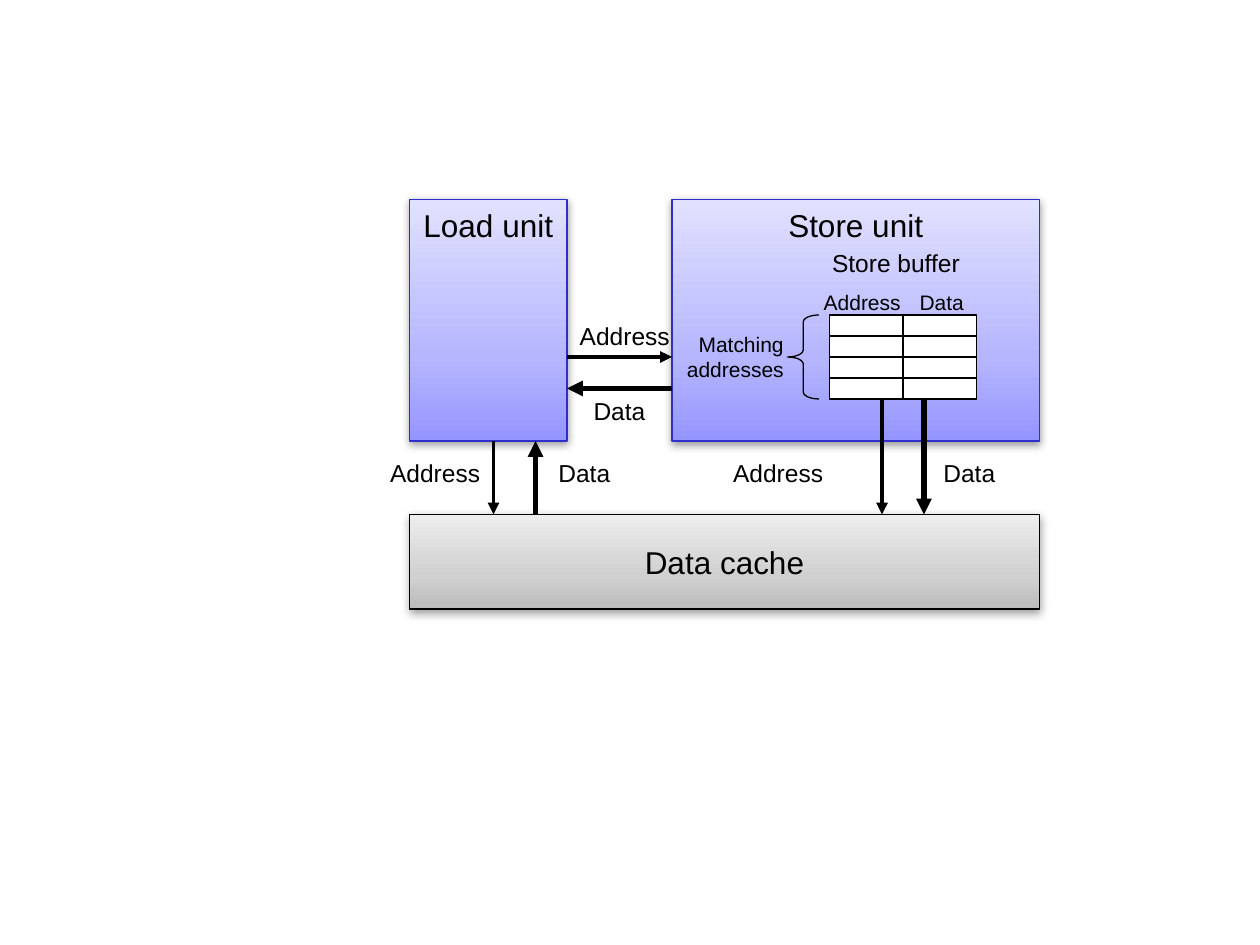
from copy import deepcopy
from lxml import etree
from pptx import Presentation
from pptx.dml.color import RGBColor
from pptx.enum import shapes, text
from pptx.oxml import ns
from pptx.util import Pt

BLACK = RGBColor(0, 0, 0)
WHITE = RGBColor(255, 255, 255)
EDGE = RGBColor(0x2E, 0x2E, 0xCB)
BLUES = (RGBColor(0x95, 0x95, 0xFF), RGBColor(0xB6, 0xB6, 0xFF), RGBColor(0xE1, 0xE1, 0xFF))
GRAYS = (RGBColor(0xBC, 0xBC, 0xBC), RGBColor(0xD0, 0xD0, 0xD0), RGBColor(0xED, 0xED, 0xED))
KIND = shapes.MSO_SHAPE
LEFT, MID, RIGHT = text.PP_ALIGN.LEFT, text.PP_ALIGN.CENTER, text.PP_ALIGN.RIGHT
TOP, CENTER = text.MSO_ANCHOR.TOP, text.MSO_ANCHOR.MIDDLE
THIN, THICK = 2.25, 3


def sub(parent, tag, **attrs):
    return etree.SubElement(parent, ns.qn(tag), attrs)


def write(frame, lines, size, align):
    frame.word_wrap = False
    for i, line in enumerate(lines):
        para = frame.add_paragraph() if i else frame.paragraphs[0]
        para.alignment = align
        run = para.add_run()
        run.text = line
        run.font.name = "Arial"
        run.font.size = Pt(size)
        run.font.color.rgb = BLACK


def label(slide, x, y, wide, high, lines, size=14, align=MID):
    box = slide.shapes.add_textbox(Pt(x), Pt(y), Pt(wide), Pt(high))
    write(box.text_frame, lines, size, align)
    box.text_frame.auto_size = text.MSO_AUTO_SIZE.SHAPE_TO_FIT_TEXT


def arrow(slide, x1, y1, x2, y2, width):
    line = slide.shapes.add_connector(
        shapes.MSO_CONNECTOR.STRAIGHT, Pt(x1), Pt(y1), Pt(x2), Pt(y2))
    line.line.color.rgb = BLACK
    line.line.width = Pt(width)
    sub(line.line._get_or_add_ln(), "a:tailEnd", type="triangle")
    sub(line._element.spPr, "a:effectLst")


def shape(slide, kind, x, y, wide, high, edge=BLACK):
    item = slide.shapes.add_shape(kind, Pt(x), Pt(y), Pt(wide), Pt(high))
    item.shadow.inherit = False
    item.line.color.rgb = edge
    item.line.width = Pt(0.75)
    return item


def block(slide, box, name, tones, edge, anchor):
    item = shape(slide, KIND.RECTANGLE, *box, edge)
    item.fill.gradient()
    item.fill.gradient_angle = 90
    props = item._element.spPr
    stops = props.find(".//" + ns.qn("a:gsLst"))
    stops.append(deepcopy(stops[-1]))
    for stop, tone, place in zip(item.fill.gradient_stops, tones, (0, 0.35, 1)):
        stop.color.rgb = tone
        stop.position = place
    glow = sub(props.find(ns.qn("a:effectLst")), "a:outerShdw",
               blurRad=str(Pt(5)), dist=str(Pt(1.6)), dir="5400000", rotWithShape="0")
    sub(sub(glow, "a:srgbClr", val="000000"), "a:alpha", val="38000")
    item.text_frame.vertical_anchor = anchor
    write(item.text_frame, [name], 18, MID)


def buffer(slide, x, y, wide, high):
    cols, rows = 2, 4
    w, h = wide / cols, high / rows
    for col in range(cols):
        for row in range(rows):
            cell = shape(slide, KIND.RECTANGLE, x + col * w, y + row * h, w, h)
            cell.fill.solid()
            cell.fill.fore_color.rgb = WHITE
    brace = shape(slide, KIND.LEFT_BRACE, x - 24, y, 18, high)
    brace.adjustments[0] = 0.222
    brace.fill.background()
    label(slide, x - 7, y - 42, 90, 24, ["Store buffer"])
    label(slide, x - 89, y + 6, 70, 36, ["Matching", "addresses"], 12, RIGHT)
    label(slide, x - 10.4, y - 18, 59, 22, ["Address"], 12, LEFT)
    label(slide, x + 44.4, y - 18, 41, 22, ["Data"], 12, LEFT)


def across(slide, x, y, wide, high):
    arrow(slide, x, y, x + wide, y, THIN)
    arrow(slide, x + wide, y + high, x, y + high, THICK)
    label(slide, x - 1, y - 24, 68, 24, ["Address"])
    label(slide, x + 7.5, y + high + 0.9, 45, 24, ["Data"])


def down(slide, x, y, wide, high, name, data, back=False, rise=0):
    ends = (y + high, y) if back else (y - rise, y + high)
    arrow(slide, x, y - rise, x, y + high, THIN)
    arrow(slide, x + wide, ends[0], x + wide, ends[1], THICK)
    label(slide, x + name, y + 6, 68, 24, ["Address"], align=RIGHT)
    label(slide, x + data, y + 6, 45, 24, ["Data"], align=LEFT)


def main():
    deck = Presentation()
    deck.slide_width, deck.slide_height = Pt(720), Pt(540)
    slide = deck.slides.add_slide(deck.slide_layouts[6])
    block(slide, (234, 114, 90, 138), "Load unit", BLUES, EDGE, TOP)
    block(slide, (384, 114, 210, 138), "Store unit", BLUES, EDGE, TOP)
    block(slide, (234, 294, 360, 54), "Data cache", GRAYS, BLACK, CENTER)
    down(slide, 282, 252, 24, 42, -68.5, 30, back=True)
    down(slide, 504, 252, 24, 42, -94.5, 28, rise=24)
    buffer(slide, 474, 180, 84, 48)
    across(slide, 324, 204, 60, 18)
    deck.save("out.pptx")


if __name__ == "__main__":
    main()
